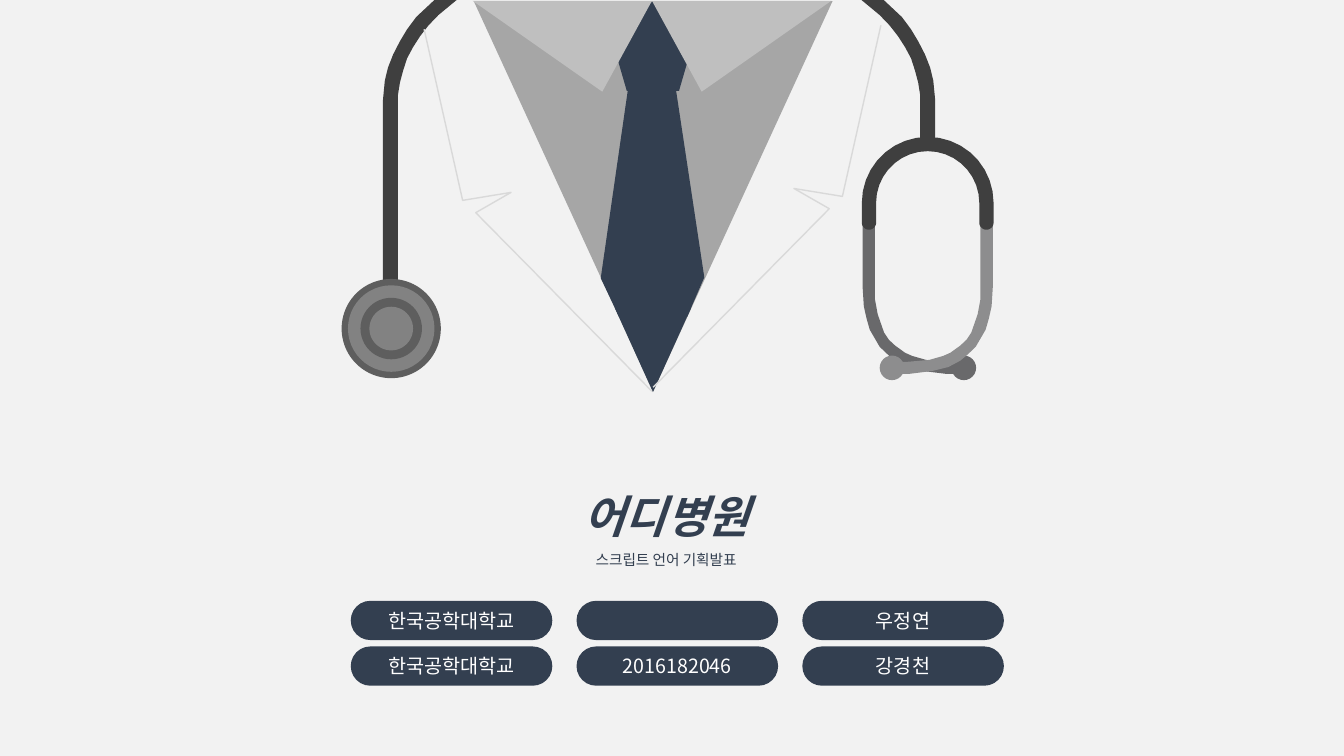
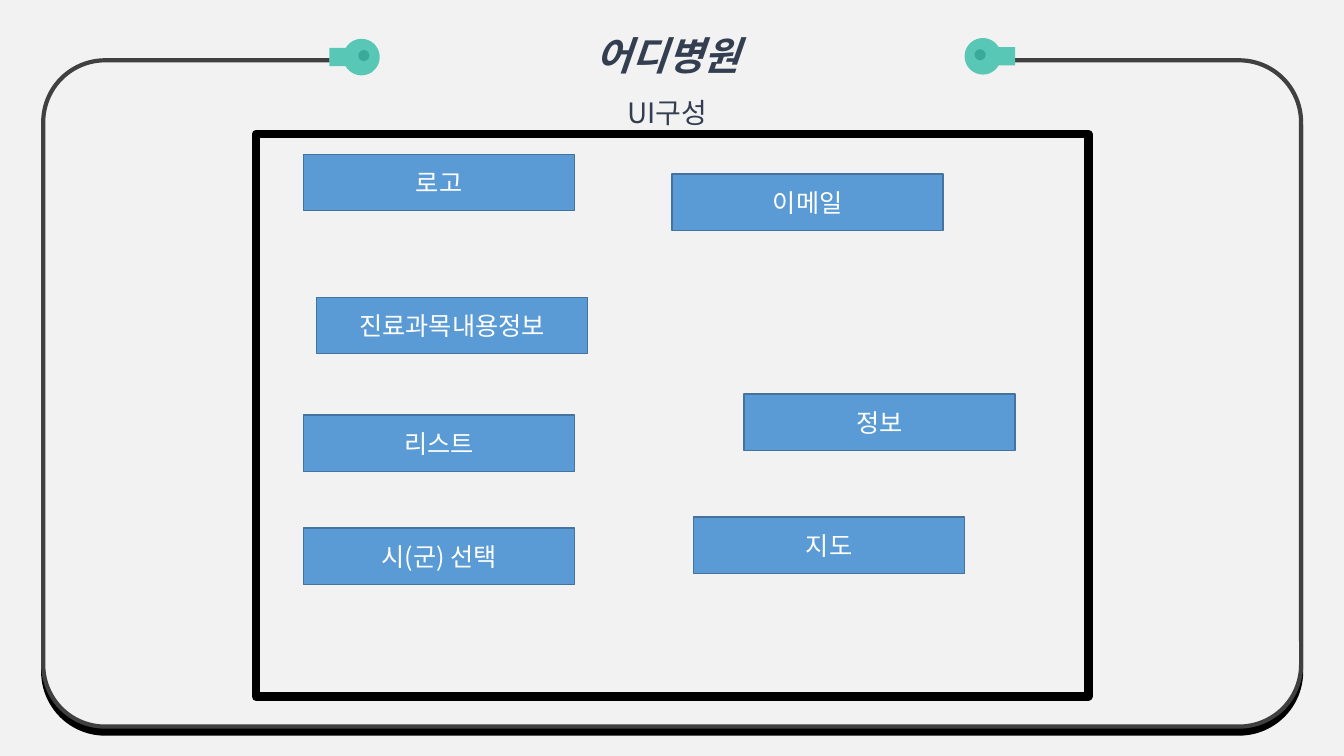
from math import cos, radians, sin

from lxml import etree
from pptx import Presentation
from pptx import util as u
from pptx.dml.color import RGBColor
from pptx.enum import shapes, text
from pptx.oxml.ns import qn

C = {
    "paper": "F2F2F2", "navy": "333F50", "white": "FFFFFF", "black": "000000",
    "shirt": "A6A6A6", "collar": "BFBFBF", "seam": "D9D9D9",
    "hose": "3F3F3F", "rim": "5E5E5E", "metal": "828282",
    "tube_dark": "69696B", "tube_light": "8D8D8E", "frame": "404040",
    "plug": "59C7B6", "plug_dot": "39A999", "box": "5B9BD5", "box_edge": "43739E",
}
FONT = "Noto Sans CJK KR"
KIND = shapes.MSO_SHAPE
TITLE = {"size": 32, "bold": True, "italic": True, "color": "navy"}
SUBTITLE = {"size": 10.5, "bold": False, "italic": False, "color": "navy"}
PILL = {"size": 14, "color": "white"}
LABEL = {"size": 18, "color": "white"}


def draw(s, kind, geometry, fill=None, line=None, width=1, adj=None, turn=0):
    """Add a preset shape from a box, or an outline from points (kind "closed" or "open"), in cm."""
    if kind in ("closed", "open"):
        pts = [(u.Cm(x), u.Cm(y)) for x, y in geometry]
        fb = s.shapes.build_freeform(*pts[0], scale=1.0)
        fb.add_line_segments(pts[1:], close=kind == "closed")
        sp = fb.convert_to_shape()
    else:
        sp = s.shapes.add_shape(kind, *[u.Cm(v) for v in geometry])
    sp.shadow.inherit = False
    sp.rotation = turn
    if adj is not None:
        sp.adjustments[0] = adj
    if fill:
        sp.fill.solid()
        sp.fill.fore_color.rgb = RGBColor.from_string(C[fill])
    else:
        sp.fill.background()
    if line:
        sp.line.color.rgb = RGBColor.from_string(C[line])
        sp.line.width = u.Pt(width)
    else:
        sp.line.fill.background()
    return sp


def write(sp, rows, spacing=None):
    """Write centred paragraphs given as (words, format) pairs."""
    tf = sp.text_frame
    tf.word_wrap = True
    for i, (words, form) in enumerate(rows):
        p = tf.add_paragraph() if i else tf.paragraphs[0]
        p.alignment = text.PP_ALIGN.CENTER
        p.line_spacing = spacing
        r = p.add_run()
        r.text = words
        values = {**form, "name": FONT, "size": u.Pt(form["size"])}
        r.font.color.rgb = RGBColor.from_string(C[values.pop("color")])
        for key, value in values.items():
            setattr(r.font, key, value)
        etree.SubElement(r.font._element, qn("a:ea"), typeface=FONT)
    return tf


prs = Presentation()
prs.slide_width, prs.slide_height = u.Cm(33.87), u.Cm(19.05)
cover, ui = [prs.slides.add_slide(prs.slide_layouts[6]) for _ in range(2)]
for s in (cover, ui):
    s.background.fill.solid()
    s.background.fill.fore_color.rgb = RGBColor.from_string(C["paper"])

# Cover: shirt and tie
s = cover
draw(s, KIND.ISOSCELES_TRIANGLE, (11.94, 0.03, 9.04, 9.83), "shirt", turn=180)
draw(s, KIND.REGULAR_PENTAGON, (15.39, 0.03, 2.13, 2.26), "navy")
tie = [(15.82, 2.29), (17.04, 2.29), (17.75, 6.99),
       (17.32, 7.98), (15.6, 7.98), (15.14, 7.01)]
draw(s, "closed", tie, "navy")
for x, apex in ((11.91, 0.277), (16.43, 0.723)):
    draw(s, KIND.ISOSCELES_TRIANGLE, (x, 0.02, 4.52, 2.29), "collar", adj=apex, turn=180)

# Cover: stethoscope
hose_bend = [(9.65, 2.54), (9.7, 2.03), (9.78, 1.7), (9.91, 1.37), (10.08, 1.04),
             (10.26, 0.74), (10.49, 0.43), (10.95, 0), (11.51, 0), (11.05, 0.38),
             (10.8, 0.64), (10.59, 0.91), (10.41, 1.19), (10.26, 1.47),
             (10.16, 1.78), (10.08, 2.08), (10.03, 2.39)]
for mirrored, end in ((False, 8.92), (True, 3.73)):
    hose = [(10.03, end), (9.65, end)] + hose_bend
    draw(s, "closed", [(33.22 - x if mirrored else x, y) for x, y in hose], "hose")

for size, colour in ((2.5, "rim"), (2.18, "metal"), (1.55, "rim"), (1.1, "metal")):
    draw(s, KIND.OVAL, (9.86 - size / 2, 8.28 - size / 2, size, size), colour)

ear_tube = [(24.28, 9.42), (23.83, 9.42), (23.27, 9.35), (22.86, 9.25), (22.56, 9.09),
            (22.38, 8.94), (22.17, 8.74), (21.92, 8.31), (21.84, 8.03), (21.77, 7.72),
            (21.74, 7.24), (21.74, 5.61), (22.05, 5.61), (22.05, 7.54), (22.12, 7.92),
            (22.28, 8.38), (22.4, 8.56), (22.56, 8.71), (22.81, 8.89), (22.99, 8.97),
            (23.34, 9.07), (23.9, 9.12), (24.28, 9.12)]
for mirrored, colour, tip in ((False, "tube_dark", 23.98), (True, "tube_light", 22.17)):
    draw(s, "closed", [(46.76 - x if mirrored else x, y) for x, y in ear_tube], colour)
    draw(s, KIND.OVAL, (tip, 8.96, 0.62, 0.62), colour)

yoke_arcs = [(23.38, 5.11, 1.66, 180, 360), (24.86, 5.61, 0.18, 0, 180),
             (23.38, 5.11, 1.3, 360, 180), (21.9, 5.61, 0.18, 0, 180)]
yoke = []
for x, y, radius, start, end in yoke_arcs:
    step = 10 if end > start else -10
    yoke += [(x + radius * cos(radians(a)), y + radius * sin(radians(a)))
             for a in range(start, end + step, step)]
draw(s, "closed", yoke, "hose")

# Cover: tie tip and lapels
draw(s, KIND.ISOSCELES_TRIANGLE, (15.49, 7.75, 1.93, 2.13), "navy", turn=180)
lapel = [(10.69, 0.74), (11.66, 5.05), (12.88, 4.85), (11.99, 5.36), (16.43, 9.86)]
draw(s, "open", lapel, line="seam")
draw(s, "open", [(32.89 - x, y - 0.1) for x, y in lapel], line="seam")

# Cover: title and name pills
sp = s.shapes.add_textbox(*[u.Cm(v) for v in (8.28, 11.51, 17.02, 2.9)])
tf = write(sp, [("어디병원", TITLE), ("스크립트 언어 기획발표", SUBTITLE)], 1.5)
tf.auto_size = text.MSO_AUTO_SIZE.SHAPE_TO_FIT_TEXT

members = [("한국공학대학교", "", "우정연"), ("한국공학대학교", "2016182046", "강경천")]
for row, member in enumerate(members):
    for col, words in enumerate(member):
        box = (8.84 + 5.69 * col, 15.14 + 1.15 * row, 5.08, 0.99)
        sp = draw(s, KIND.ROUNDED_RECTANGLE, box, "navy", adj=0.5)
        if words:
            write(sp, [(words, PILL)])

# UI slide: cable frame and title
s = ui
sp = draw(s, KIND.ROUNDED_RECTANGLE, (1.09, 1.52, 31.7, 16.79), "paper", "frame", 3, 0.093)
effects = sp._element.spPr.find(qn("a:effectLst"))
shadow = etree.SubElement(effects, qn("a:outerShdw"), blurRad="0", dist=str(u.Pt(5)),
                          dir="5400000", algn="t", rotWithShape="0")
etree.SubElement(shadow, qn("a:srgbClr"), val=C["black"])

sp = draw(s, KIND.RECTANGLE, (8.31, 0.08, 17.02, 3.18), "paper")
tf = write(sp, [("어디병원", {**TITLE, "size": 28}), ("UI구성", {**SUBTITLE, "size": 20})], 1.5)
tf.vertical_anchor = text.MSO_ANCHOR.TOP
tf.auto_size = text.MSO_AUTO_SIZE.SHAPE_TO_FIT_TEXT

plug = [(24.77 + 0.46 * cos(radians(a)), 1.42 + 0.46 * sin(radians(a)))
        for a in range(30, 331, 10)] + [(25.58, 1.19), (25.58, 1.65)]
for mirrored, dot, drop in ((False, 24.7, 0), (True, 9.17, 0.02)):
    draw(s, "closed", [(33.88 - x if mirrored else x, y + drop) for x, y in plug], "plug")
    draw(s, KIND.OVAL, (dot - 0.14, 1.24 + drop, 0.28, 0.28), "plug_dot")

# UI slide: screen and its parts
draw(s, KIND.RECTANGLE, (6.45, 3.38, 20.98, 14.17), line="black", width=6)
parts = [("시(군) 선택", 7.65, 13.31), ("진료과목내용정보", 7.98, 7.49),
         ("리스트", 7.65, 10.46), ("정보", 18.75, 9.93), ("지도", 17.48, 13.03),
         ("이메일", 16.94, 4.39), ("로고", 7.65, 3.89)]
for words, x, y in parts:
    sp = draw(s, KIND.RECTANGLE, (x, y, 6.83, 1.42), "box", "box_edge")
    write(sp, [(words, LABEL)])

prs.save("out.pptx")
